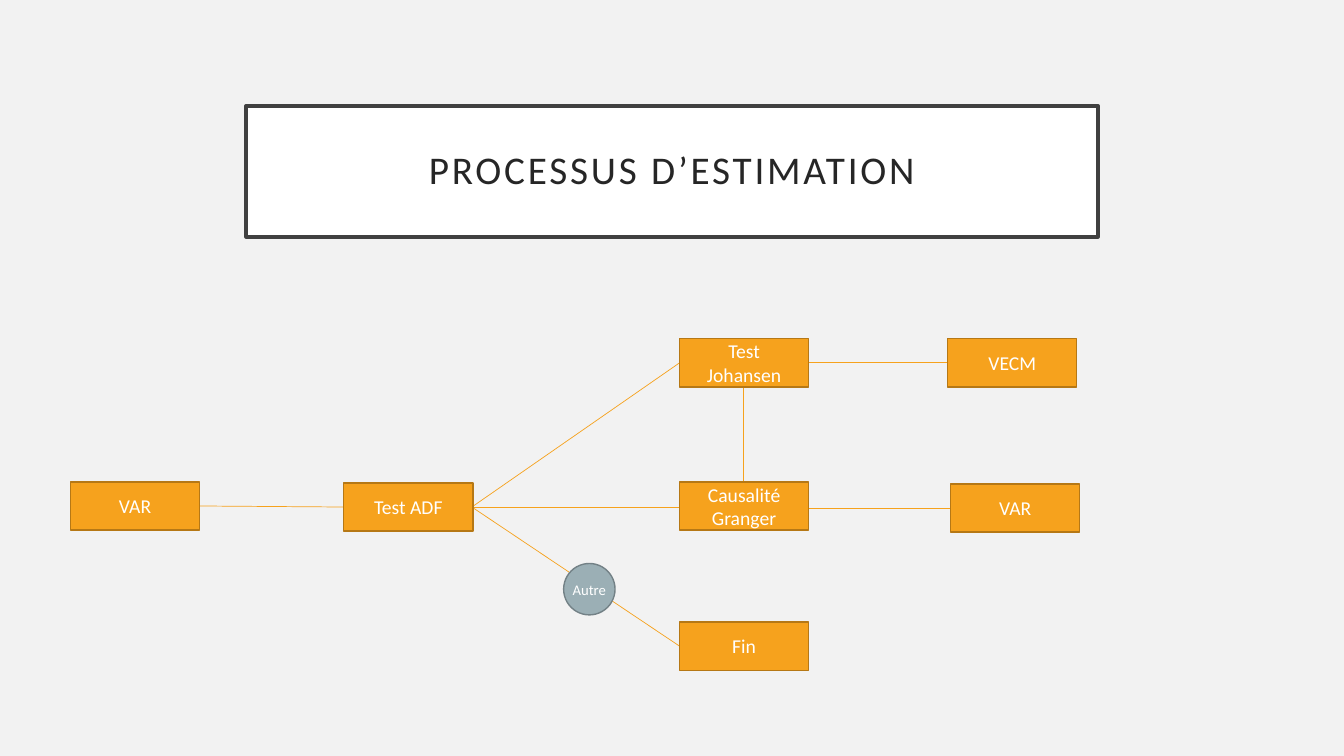
import pptx
import pptx.dml.color
import pptx.enum.shapes
import pptx.enum.text
import pptx.oxml.ns
import pptx.util
from lxml import etree

Inches = pptx.util.Inches
Pt = pptx.util.Pt
Shapes = pptx.enum.shapes.MSO_SHAPE

ORANGE = "F6A21D"
NODE_SIZE = (1.28, 0.48)
LEVEL = 1.67
NODES = [
    ("VAR", 0, 1.42),
    ("Test ADF", 2.71, 1.43),
    ("Test Johansen", 6.04, 0),
    ("Causalité Granger", 6.04, 1.42),
    ("Fin", 6.04, 2.81),
    ("VECM", 8.7, 0),
    ("VAR", 8.73, 1.44),
]
LINKS = [
    ((1.28, 1.66), (2.71, LEVEL)),
    ((3.98, LEVEL), (6.04, 0.24)),
    ((3.98, LEVEL), (6.04, LEVEL)),
    ((3.98, LEVEL), (6.04, 3.05)),
    ((6.67, 0.48), (6.67, 1.42)),
    ((7.28, 0.24), (8.7, 0.24)),
    ((7.31, 1.68), (8.73, 1.68)),
]


def color(value):
    return pptx.dml.color.RGBColor.from_string(value)


def add_label(slide, kind, box, text, fill, line, line_width, size, text_color="FFFFFF"):
    shape = slide.shapes.add_shape(kind, *[Inches(length) for length in box])
    shape.shadow.inherit = False
    shape.fill.solid()
    shape.fill.fore_color.rgb = color(fill)
    shape.line.color.rgb = color(line)
    shape.line.width = Pt(line_width)
    frame = shape.text_frame
    frame.word_wrap = True
    frame.vertical_anchor = pptx.enum.text.MSO_ANCHOR.MIDDLE
    paragraph = frame.paragraphs[0]
    paragraph.alignment = pptx.enum.text.PP_ALIGN.CENTER
    run = paragraph.add_run()
    run.text = text
    run.font.name = "Calibri"
    run.font.size = Pt(size)
    run.font.color.rgb = color(text_color)
    return shape


def set_margins(shape, margin):
    frame = shape.text_frame
    frame.margin_left = frame.margin_right = Inches(margin)
    frame.margin_top = frame.margin_bottom = Inches(margin)


def add_link(slide, left, top, start, end):
    connector = slide.shapes.add_connector(
        pptx.enum.shapes.MSO_CONNECTOR.STRAIGHT,
        Inches(left + start[0]), Inches(top + start[1]),
        Inches(left + end[0]), Inches(top + end[1]),
    )
    connector.line.color.rgb = color(ORANGE)
    connector.line.width = Pt(0.5)
    properties = connector._element.spPr
    etree.SubElement(properties, pptx.oxml.ns.qn("a:effectLst"))


def add_title(slide, box, text):
    title = add_label(slide, Shapes.RECTANGLE, box, text, "FFFFFF", "404040", 2.5, 28, "262626")
    set_margins(title, 0.2)
    paragraph = title.text_frame.paragraphs[0]
    paragraph.line_spacing = 0.9
    paragraph.runs[0].font._element.set("spc", "200")


def add_process(slide, left, top):
    for start, end in LINKS:
        add_link(slide, left, top, start, end)
    for text, x, y in NODES:
        box = (left + x, top + y, *NODE_SIZE)
        add_label(slide, Shapes.RECTANGLE, box, text, ORANGE, "B67815", 1, 14)
    circle_box = (left + 4.89, top + 2.23, 0.51, 0.51)
    circle = add_label(slide, Shapes.OVAL, circle_box, "Autre", "9BAFB5", "738186", 1, 10.5)
    set_margins(circle, 0)


def main():
    presentation = pptx.Presentation()
    presentation.slide_width = Inches(13.33)
    presentation.slide_height = Inches(7.5)
    slide = presentation.slides.add_slide(presentation.slide_layouts[6])
    slide.background.fill.solid()
    slide.background.fill.fore_color.rgb = color("F2F2F2")
    add_title(slide, (2.44, 1.05, 8.45, 1.3), "PROCESSUS D’ESTIMATION")
    add_process(slide, 0.7, 3.36)
    presentation.save("out.pptx")


if __name__ == "__main__":
    main()
